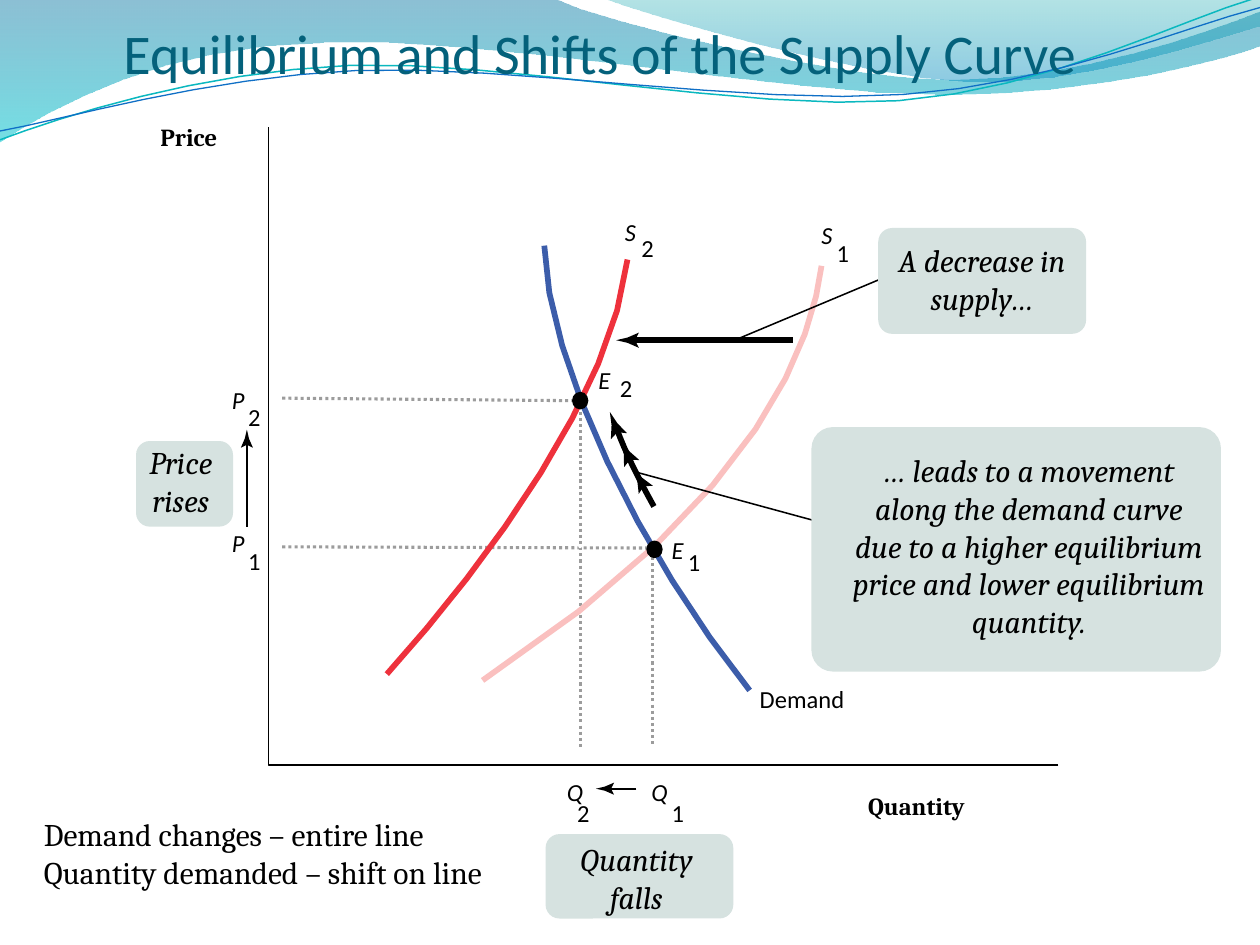
from dataclasses import dataclass
from math import hypot
from lxml.etree import SubElement
from pptx import Presentation
from pptx.dml.color import RGBColor
from pptx.enum.dml import MSO_LINE
from pptx.enum.shapes import MSO_CONNECTOR, MSO_SHAPE
from pptx.enum.text import MSO_ANCHOR, MSO_AUTO_SIZE, PP_ALIGN
from pptx.oxml.ns import qn
from pptx.util import Inches, Pt


@dataclass(frozen=True)
class Theme:
    ink: str = "000000"
    paper: str = "FFFFFF"
    title: str = "04617B"
    guide: str = "9C9C9C"
    box: str = "D6E2E0"
    demand: str = "3C5DAA"
    supply: str = "EE313C"
    faded: str = "FAC0BF"
    teal: str = "0AB8BF"
    blue: str = "0F6FC6"
    deep: tuple = (("0074A1", 45), ("00C6CF", 55))
    light: tuple = (("00A1A9", 30), ("008BBF", 45))
    sans: str = "Calibri"
    serif: str = "Cambria"
    head: int = 32
    body: int = 18
    label: int = 14
    thick: float = 3.25
    dotted: float = 1.75
    mid: float = 1.25
    thin: float = 0.88


class Board:
    """Draws the parts of a diagram on one slide in one style."""

    def __init__(self, slide, theme):
        self.shapes = slide.shapes
        self.theme = theme

    def paint(self, shape, fill=None, line=None, width=1):
        shape.shadow.inherit = False
        if fill is None:
            shape.fill.background()
        elif isinstance(fill, str):
            shape.fill.solid()
            shape.fill.fore_color.rgb = RGBColor.from_string(fill)
        else:
            shape.fill.gradient()
            shape.fill.gradient_angle = 270
            for stop, (color, _) in zip(shape.fill.gradient_stops, fill):
                stop.color.rgb = RGBColor.from_string(color)
            nodes = shape.element.iter(qn("a:srgbClr"))
            for node, (_, alpha) in zip(list(nodes), fill):
                SubElement(node, qn("a:alpha")).set("val", str(alpha * 1000))
        if line:
            shape.line.color.rgb = RGBColor.from_string(line)
            shape.line.width = Pt(width)
        else:
            shape.line.fill.background()

    def shape(self, kind, area, fill):
        item = self.shapes.add_shape(kind, *map(Inches, area))
        self.paint(item, fill)
        return item

    def dot(self, area, fill):
        self.shape(MSO_SHAPE.OVAL, area, fill)

    def box(self, area, radius=0.11):
        item = self.shape(MSO_SHAPE.ROUNDED_RECTANGLE, area, self.theme.box)
        item.adjustments[0] = radius / min(area[2:])

    def trace(self, start, parts, steps=8):
        points = [start]
        for part in parts:
            if len(part) == 2:
                points.append(part)
                continue
            x, y = points[-1]
            a, b, c, d, e, f = part
            for n in range(1, steps + 1):
                t = n / steps
                u = 1 - t
                mix = (u ** 3, 3 * u * u * t, 3 * u * t * t, t ** 3)
                points.append((sum(m * v for m, v in zip(mix, (x, a, c, e))),
                               sum(m * v for m, v in zip(mix, (y, b, d, f)))))
        return points

    def free(self, start, parts, fill=None, line=None, width=1):
        spots = [(Inches(x), Inches(y)) for x, y in self.trace(start, parts)]
        pen = self.shapes.build_freeform(*spots[0], scale=1.0)
        pen.add_line_segments(spots[1:], close=fill is not None)
        self.paint(pen.convert_to_shape(), fill, line, width)

    def line(self, start, end, width, color=None, dash=None):
        item = self.shapes.add_connector(
            MSO_CONNECTOR.STRAIGHT, *map(Inches, (*start, *end)))
        item.line.color.rgb = RGBColor.from_string(color or self.theme.ink)
        item.line.width = Pt(width)
        if dash:
            item.line.dash_style = dash
        SubElement(item.element.spPr, qn("a:effectLst"))

    def head(self, tip, notch):
        dx, dy = notch[0] - tip[0], notch[1] - tip[1]

        def spot(along, side):
            return (tip[0] + along * dx - side * dy,
                    tip[1] + along * dy + side * dx)

        self.free(tip, [spot(0.6, 0.14), spot(1.2, 0.4), notch,
                        spot(1.2, -0.4), spot(0.6, -0.14)], self.theme.ink)

    def arrow(self, start, tip, width, size):
        dx, dy = start[0] - tip[0], start[1] - tip[1]
        part = size / hypot(dx, dy)
        notch = (tip[0] + part * dx, tip[1] + part * dy)
        self.line(start, notch, width)
        self.head(tip, notch)

    def text(self, area, lines, size, font, color=None, bold=False,
             italic=False, align=PP_ALIGN.LEFT, wrap=True, inset=None,
             anchor=MSO_ANCHOR.TOP):
        frame = self.shapes.add_textbox(*map(Inches, area)).text_frame
        frame.word_wrap = wrap
        frame.auto_size = MSO_AUTO_SIZE.SHAPE_TO_FIT_TEXT
        frame.vertical_anchor = anchor
        if inset:
            (frame.margin_left, frame.margin_top, frame.margin_right,
             frame.margin_bottom) = map(Inches, inset)
        for n, words in enumerate(lines):
            para = frame.paragraphs[0] if n == 0 else frame.add_paragraph()
            para.alignment = align
            run = para.add_run()
            run.text = words
            run.font.size = Pt(size)
            run.font.name = font
            run.font.bold = bold
            run.font.italic = italic
            run.font.color.rgb = RGBColor.from_string(color or self.theme.ink)

    def label(self, area, words, italic=False):
        self.text(area, [words], self.theme.label, self.theme.sans,
                  italic=italic, wrap=False, inset=(0, 0, 0, 0))

    def note(self, area, words, **style):
        self.text(area, [words], self.theme.body, self.theme.serif,
                  italic=True, align=PP_ALIGN.CENTER, **style)


theme = Theme()
deck = Presentation()
deck.slide_width, deck.slide_height = Inches(10), Inches(7.5)
board = Board(deck.slides.add_slide(deck.slide_layouts[6]), theme)

board.free((0, 0), [(4.4, -0.01), (4.76, 0.17, 6.64, 0.63, 7.58, 0.63),
                    (8.53, 0.63, 9.58, 0.26, 10, 0.09), (10.01, 0.36),
                    (9.83, 0.44, 8.7, 0.76, 7.46, 0.75),
                    (6.22, 0.75, 3.82, 0.28, 2.57, 0.34),
                    (1.29, 0.36, 0.46, 0.83, -0.01, 1.13)], theme.deep)
board.free((4.79, -0.01), [(5.09, 0.11, 6.82, 0.62, 7.69, 0.65),
                           (8.56, 0.69, 9.61, 0.32, 10, 0.21), (10, 0)],
           theme.light)
board.free((0, 1.11), [(0.48, 0.93, 1.58, 0.57, 2.77, 0.52),
                       (3.95, 0.47, 5.93, 0.89, 7.13, 0.8),
                       (8.33, 0.71, 9.38, 0.15, 9.98, -0.02)],
           line=theme.teal, width=0.85)
board.free((0, 1.04), [(0.47, 0.96, 1.64, 0.61, 2.83, 0.56),
                       (4.03, 0.51, 5.97, 0.84, 7.17, 0.75),
                       (8.36, 0.67, 9.41, 0.21, 10, 0.06)],
           line=theme.blue, width=0.75)
board.text((0.98, 0.07, 9.02, 0.61),
           ["Equilibrium and Shifts of the Supply Curve"], theme.head,
           theme.sans, theme.title, inset=(0, 0.05, 0, 0),
           anchor=MSO_ANCHOR.BOTTOM)

for start, end in (((2.24, 3.16), (4.54, 3.18)), ((4.61, 3.22), (4.61, 5.93)),
                   ((2.24, 4.34), (5.18, 4.35)), ((5.18, 4.42), (5.18, 5.93))):
    board.line(start, end, theme.dotted, theme.guide, MSO_LINE.ROUND_DOT)
board.line((2.13, 5.75), (2.13, 1.01), theme.thin)
board.free((2.44, 6.07), [(2.13, 6.07), (2.13, 5.75)],
           line=theme.ink, width=theme.thin)
board.line((8.4, 6.07), (2.44, 6.07), theme.thin)

for start, tip, width, size in (((6.29, 2.7), (4.89, 2.7), theme.thick, 0.15),
                                ((1.96, 4.18), (1.96, 3.41), theme.mid, 0.12),
                                ((5.05, 6.26), (4.73, 6.26), theme.mid, 0.12)):
    board.arrow(start, tip, width, size)

for start, bend, color in (
        ((5.19, 4.02), (5.08, 3.82, 4.97, 3.61, 4.89, 3.39), theme.ink),
        ((4.32, 1.95), (4.34, 2.88, 5.09, 4.41, 5.95, 5.48), theme.demand),
        ((4.98, 2.06), (4.86, 3.11, 3.9, 4.43, 3.07, 5.35), theme.supply),
        ((6.52, 2.11), (6.45, 2.67, 6.09, 3.91, 3.83, 5.4), theme.faded)):
    board.free(start, [bend], line=color, width=theme.thick)
for tip, notch in (((4.84, 3.27), (4.9, 3.43)), ((4.93, 3.5), (5, 3.65)),
                   ((5.03, 3.72), (5.11, 3.86))):
    board.head(tip, notch)
for left, top in ((5.13, 4.29), (4.54, 3.11)):
    board.dot((left, top, 0.13, 0.14), theme.ink)
board.dot((4.59, 4.32, 0.03, 0.03), theme.paper)

for name, left, top, digit, x, y in (
        ("P", 1.84, 3.06, "2", 1.97, 3.19), ("P", 1.84, 4.19, "1", 1.97, 4.33),
        ("Q", 5.17, 6.17, "1", 5.33, 6.33), ("Q", 4.5, 6.17, "2", 4.58, 6.33),
        ("E", 5.33, 4.25, "1", 5.46, 4.34), ("E", 4.75, 2.9, "2", 4.92, 2.96),
        ("S", 6.52, 1.75, "1", 6.64, 1.89), ("S", 4.96, 1.72, "2", 5.09, 1.85)):
    board.label((left, top, 0.13, 0.24), name, italic=True)
    board.label((x, y, 0.11, 0.19), digit)
board.label((6.03, 5.43, 0.73, 0.19), "Demand")
for area, name in (((0.83, 0.92, 1.38, 0.34), "Price "),
                   ((6.1, 6.23, 2.39, 0.34), "Quantity ")):
    board.text(area, [name], theme.label, theme.serif, bold=True,
               align=PP_ALIGN.CENTER)

board.line((5.83, 2.7), (7, 2.21), theme.thin)
board.line((5.06, 3.75), (6.64, 4.18), theme.thin)
for area in ((4.33, 6.62, 1.49, 0.67), (1.08, 3.5, 0.77, 0.68),
             (6.97, 1.81, 1.65, 0.84)):
    board.box(area)
board.box((6.44, 3.39, 3.25, 1.94), 0.17)
board.note((1.02, 3.47, 0.83, 0.71), "Price rises")
board.note((4.36, 6.62, 1.38, 0.71), "Quantity falls")
board.note((6.83, 1.86, 1.93, 0.71), "A decrease in supply…",
           anchor=MSO_ANCHOR.MIDDLE)
board.note((6.64, 3.53, 3.05, 1.62),
           "… leads to a movement along the demand curve due to a higher "
           "equilibrium price and lower equilibrium quantity.")
board.text((0.25, 6.42, 3.97, 0.71),
           ["Demand changes – entire line",
            "Quantity demanded – shift on line "],
           theme.body, theme.serif, wrap=False)

deck.save("out.pptx")
